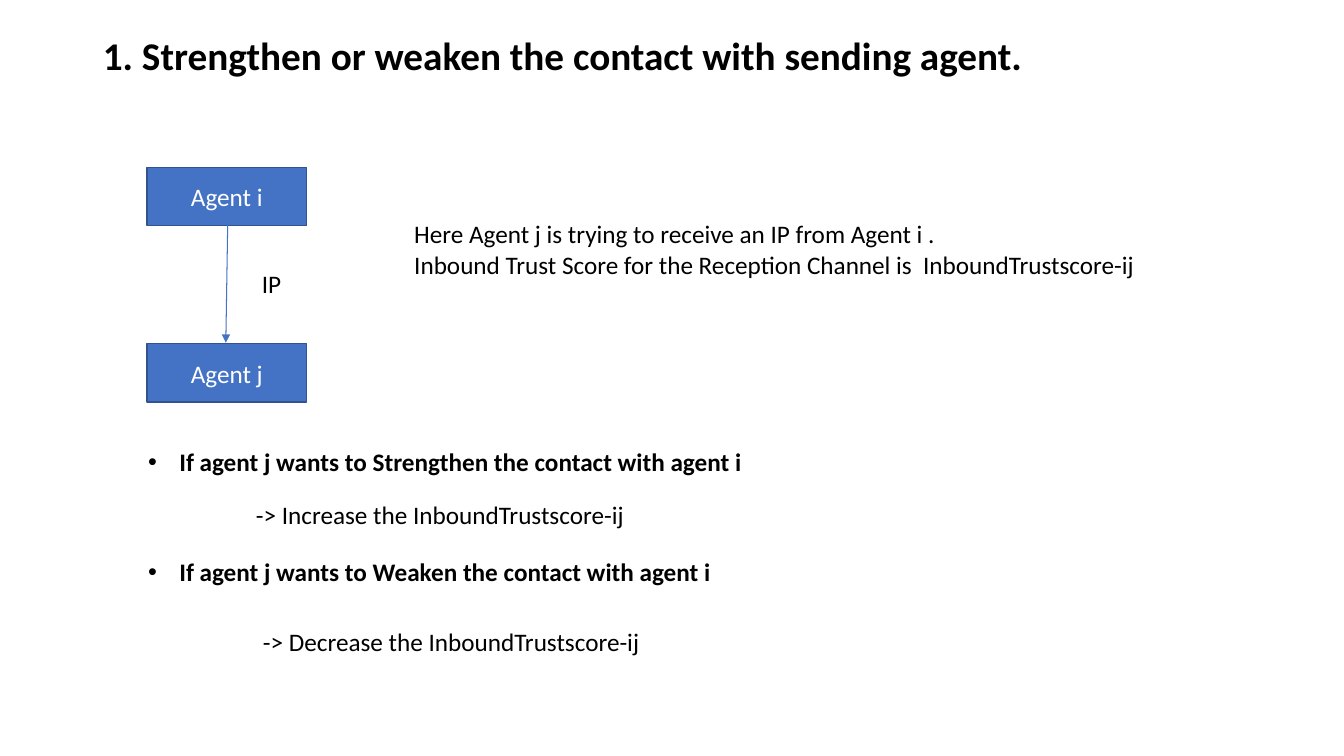
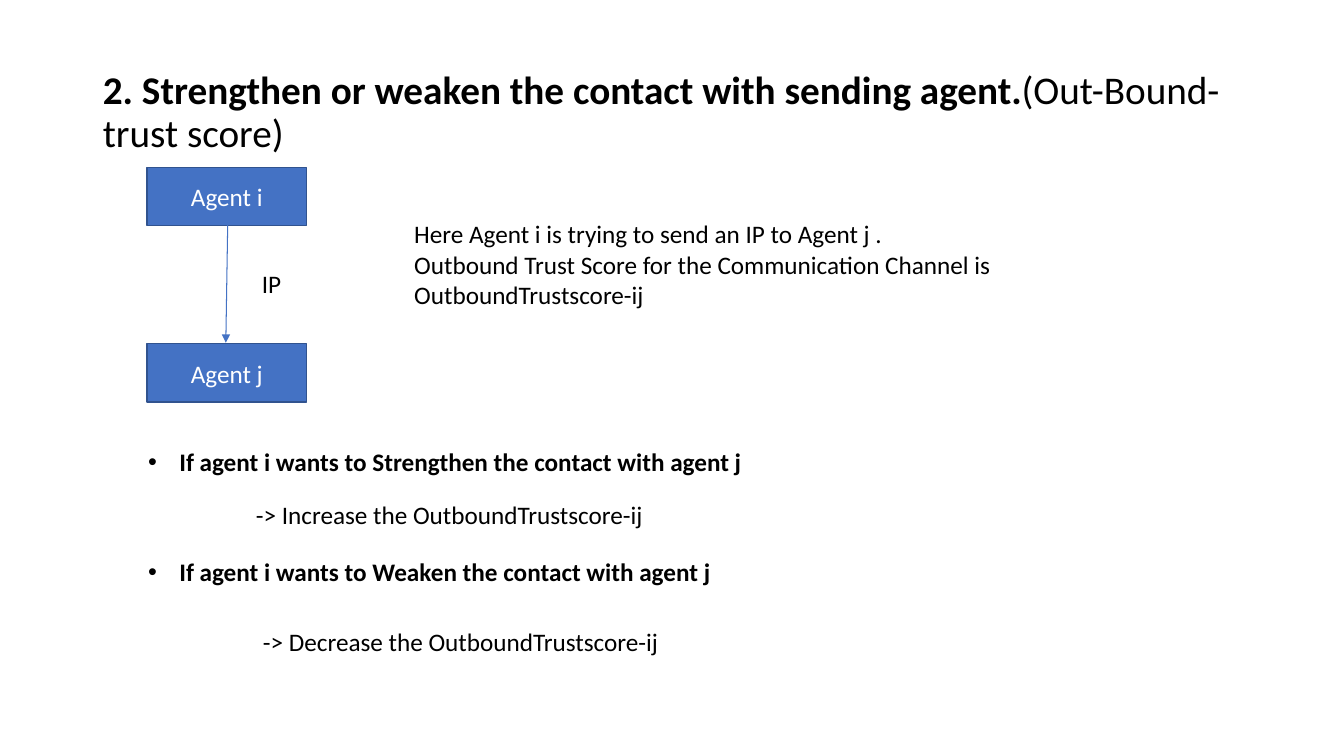
from dataclasses import dataclass

from lxml import etree
from pptx import Presentation
from pptx.dml.color import RGBColor
from pptx.enum import shapes, text
from pptx.oxml import ns
from pptx.slide import Slide
from pptx.text.text import Font
from pptx.util import Inches, Pt

FONT = "Calibri"
COLOURS = {"ink": "000000", "paper": "FFFFFF", "agent": "4472C4", "edge": "31538F"}
AGENT_TOPS = {"Agent i": 1.66, "Agent j": 3.41}
BULLET_INDENT = Inches(0.31)


@dataclass(frozen=True)
class Label:
    wording: str
    left: float
    top: float
    width: float
    height: float = 0.4
    bullet: bool = False


@dataclass(frozen=True)
class Lesson:
    heading: str
    suffix: str
    title_height: float
    title_insets: tuple[float, float]
    explanation: str
    explanation_height: float
    actor: str
    partner: str
    score: str
    decrease_width: float


LESSONS = [
    Lesson(
        "1.\u00a0Strengthen or weaken the contact with sending agent.", "",
        1.01, (0, 0.67),
        "Here Agent j is trying to receive an IP from Agent i .\n"
        "Inbound Trust Score for the Reception Channel is\u00a0 InboundTrustscore-ij",
        0.71, "j", "i", "InboundTrustscore-ij", 4.07,
    ),
    Lesson(
        "2.\u00a0Strengthen or weaken the contact with sending agent.",
        "(Out-Bound-trust score)", 1.45, (0.05, 0.05),
        "Here Agent i is trying to send an IP to Agent j .\n"
        "Outbound Trust Score for the Communication Channel is\u00a0 OutboundTrustscore-ij",
        1.01, "i", "j", "OutboundTrustscore-ij", 4.66,
    ),
]


def colour(name: str) -> RGBColor:
    return RGBColor.from_string(COLOURS[name])


def style_font(font: Font, size: int = 18, ink: str = "ink", bold: bool = False) -> None:
    font.name = FONT
    font.size = Pt(size)
    font.bold = bold
    font.color.rgb = colour(ink)


def add_title(page: Slide, lesson: Lesson) -> None:
    title = page.shapes.title
    title.left, title.top = Inches(0.92), Inches(0.4)
    title.width, title.height = Inches(11.5), Inches(lesson.title_height)
    frame = title.text_frame
    frame.auto_size = text.MSO_AUTO_SIZE.NONE
    frame.word_wrap = True
    frame.vertical_anchor = text.MSO_ANCHOR.MIDDLE
    frame.margin_top, frame.margin_bottom = map(Inches, lesson.title_insets)
    para = frame.paragraphs[0]
    para.alignment = text.PP_ALIGN.LEFT
    para.line_spacing = 0.9
    style_font(para.font, 28)
    for wording, bold in ((lesson.heading, True), (lesson.suffix, False)):
        if wording:
            span = para.add_run()
            span.text = wording
            span.font.bold = bold


def add_agent(page: Slide, name: str, top: float) -> None:
    box = page.shapes.add_shape(
        shapes.MSO_SHAPE.RECTANGLE, Inches(1.46), Inches(top), Inches(1.58), Inches(0.58)
    )
    box.shadow.inherit = False
    box.fill.solid()
    box.fill.fore_color.rgb = colour("agent")
    box.line.color.rgb = colour("edge")
    box.line.width = Pt(1)
    box.text_frame.vertical_anchor = text.MSO_ANCHOR.MIDDLE
    para = box.text_frame.paragraphs[0]
    para.text = name
    para.alignment = text.PP_ALIGN.CENTER
    style_font(para.font, ink="paper")


def add_arrow(page: Slide) -> None:
    arrow = page.shapes.add_connector(
        shapes.MSO_CONNECTOR.STRAIGHT, Inches(2.26), Inches(2.13), Inches(2.24), Inches(3.4)
    )
    arrow.line.color.rgb = colour("agent")
    arrow.line.width = Pt(0.75)
    etree.SubElement(arrow.line._get_or_add_ln(), ns.qn("a:tailEnd"), type="triangle")
    etree.SubElement(arrow._element.spPr, ns.qn("a:effectLst"))


def add_label(page: Slide, label: Label) -> None:
    box = page.shapes.add_textbox(
        *map(Inches, (label.left, label.top, label.width, label.height))
    )
    box.text_frame.word_wrap = True
    box.text_frame.auto_size = text.MSO_AUTO_SIZE.SHAPE_TO_FIT_TEXT
    para = box.text_frame.paragraphs[0]
    para.text = label.wording
    style_font(para.font, bold=label.bullet)
    if label.bullet:
        properties = para._p.get_or_add_pPr()
        properties.set("marL", str(BULLET_INDENT))
        properties.set("indent", str(-BULLET_INDENT))
        marker_font = etree.Element(ns.qn("a:buFont"), typeface="Arial")
        marker = etree.Element(ns.qn("a:buChar"), char="•")
        properties.insert(0, marker_font)
        properties.insert(1, marker)


def lesson_labels(lesson: Lesson) -> list[Label]:
    def goal(verb: str, top: float) -> Label:
        wording = f"If agent {lesson.actor} wants to {verb} the contact with agent {lesson.partner}"
        return Label(wording, 1.37, top, 7.29, bullet=True)

    def action(verb: str, left: float, top: float, width: float) -> Label:
        return Label(f"-> {verb} the\u00a0{lesson.score}", left, top, width)

    return [
        Label("IP", 2.5, 2.61, 3),
        Label(lesson.explanation, 4.01, 2.12, 7.49, lesson.explanation_height),
        goal("Strengthen", 4.38),
        action("Increase", 2.44, 4.9, 4.07),
        goal("Weaken", 5.47),
        action("Decrease", 2.51, 6.16, lesson.decrease_width),
    ]


deck = Presentation()
deck.slide_width, deck.slide_height = Inches(13.33), Inches(7.5)
title_only = deck.slide_layouts.get_by_name("Title Only")
for lesson in LESSONS:
    page = deck.slides.add_slide(title_only)
    add_title(page, lesson)
    for name, top in AGENT_TOPS.items():
        add_agent(page, name, top)
    add_arrow(page)
    for label in lesson_labels(lesson):
        add_label(page, label)
deck.save("out.pptx")
